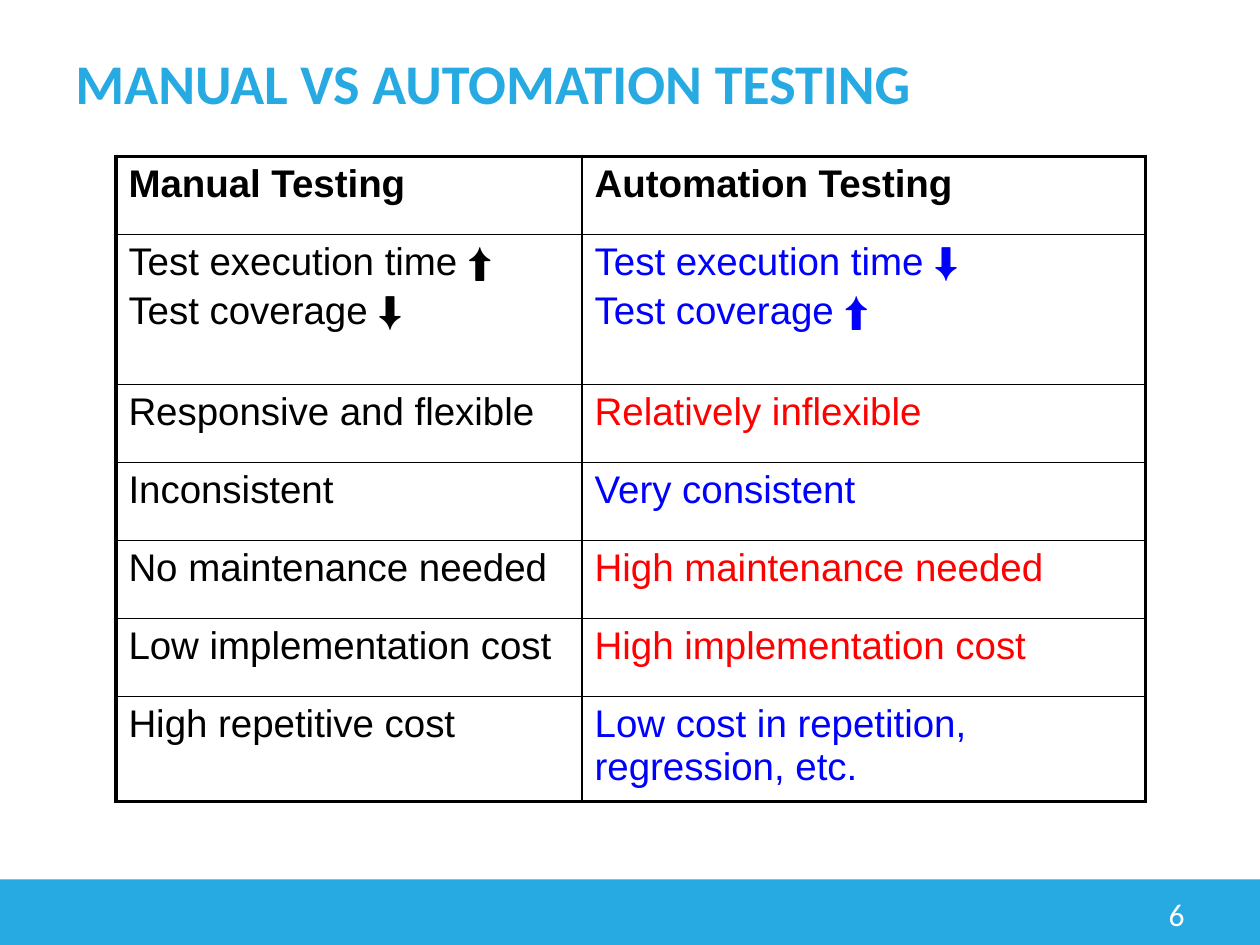
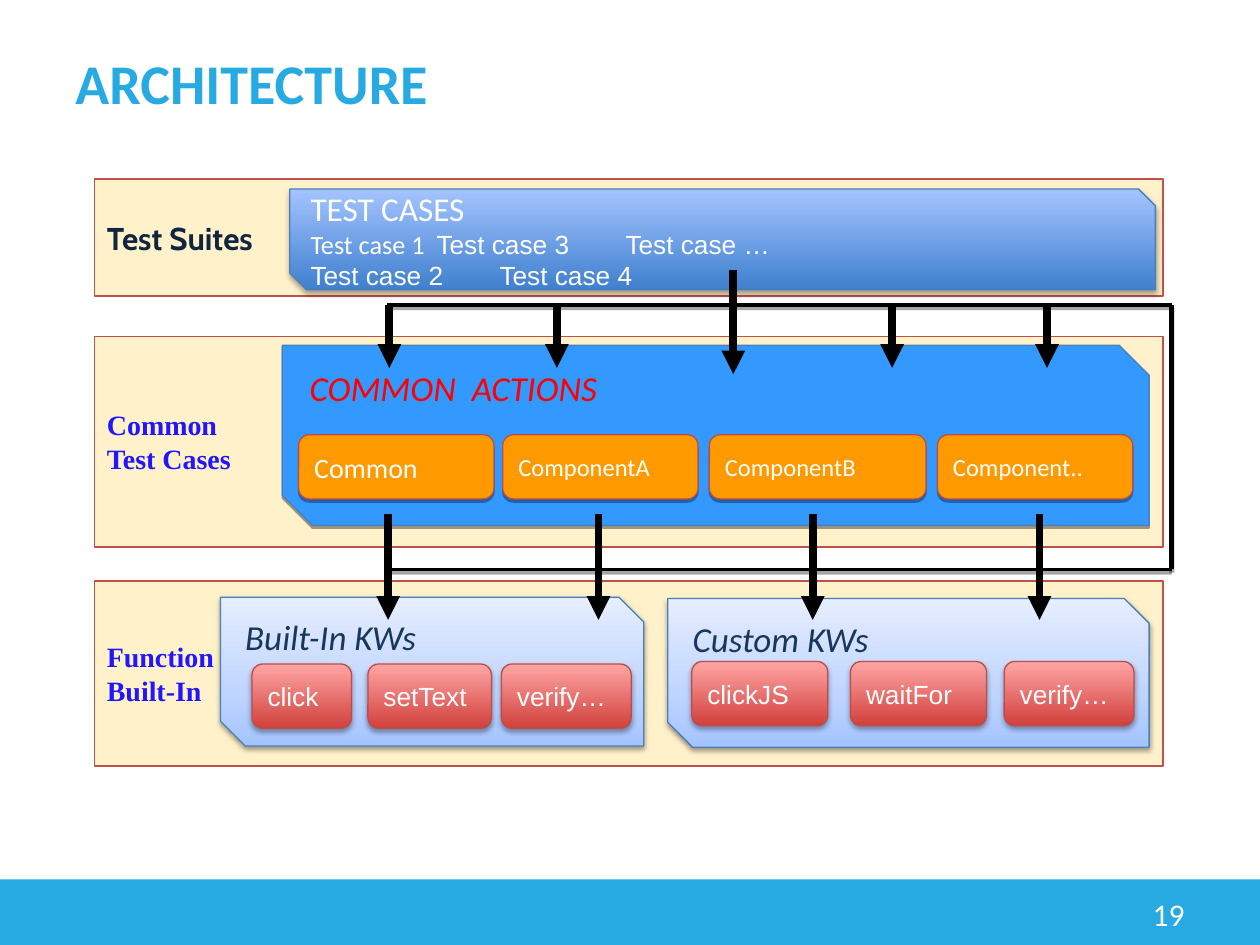
from lxml.etree import SubElement
from pptx import Presentation
from pptx.dml.color import RGBColor
from pptx.enum.shapes import MSO_CONNECTOR, MSO_SHAPE
from pptx.enum.text import MSO_ANCHOR, PP_ALIGN
from pptx.oxml.ns import qn
from pptx.util import Inches, Pt

ACCENT, WHITE, BLACK = "27AAE1", "FFFFFF", "000000"
BLUE, RED = "0000FF", "FF0000"
SAND, SAND_EDGE, LABEL_BLUE = "FFE593", "C0504D", "2116FC"
PANEL_EDGE, NAVY = "4B7EBC", "17375E"
DEEP_BLUES = [(0, "3F80CE"), (100, "A4C4FF")]
PALE_BLUES = [(0, "A4C4FF"), (35, "BFD4FF"), (100, "E6EEFF")]
REDS = [(0, "D1403C"), (100, "FFA6A5")]

COMPARISON = [
    ("Manual Testing", "Automation Testing", BLACK, 0.62),
    ("Test execution time ⬆\nTest coverage ⬇",
     "Test execution time ⬇\nTest coverage ⬆", BLUE, 1.19),
    ("Responsive and flexible", "Relatively inflexible", RED, 0.62),
    ("Inconsistent", "Very consistent", BLUE, 0.62),
    ("No maintenance needed", "High maintenance needed", RED, 0.62),
    ("Low implementation cost", "High implementation cost", RED, 0.62),
    ("High repetitive cost", "Low cost in repetition, regression, etc.", BLUE, 0.77),
]


def colour(value):
    """Turn a hex string into a colour."""
    return RGBColor.from_string(value)


def inches(*lengths):
    """Convert several lengths to inches."""
    return [Inches(length) for length in lengths]


def format_span(span, size, font, ink, bold=False, italic=False):
    """Set the look of one run."""
    span.font.size, span.font.name = Pt(size), font
    span.font.bold, span.font.italic = bold, italic
    span.font.color.rgb = colour(ink)


def write(frame, text, size, font, ink, bold=False, italic=False,
          align=PP_ALIGN.LEFT, anchor=MSO_ANCHOR.MIDDLE):
    """Fill a text frame with evenly formatted text."""
    frame.text = text
    frame.word_wrap, frame.vertical_anchor = True, anchor
    for para in frame.paragraphs:
        para.alignment = align
        for span in para.runs:
            format_span(span, size, font, ink, bold, italic)


def add_label(page, box, text, size, **style):
    """Add a plain Calibri text box."""
    frame = page.shapes.add_textbox(*inches(*box)).text_frame
    write(frame, text, size, "Calibri", **style)


def add_block(page, kind, box, fill, edge=None, width=0.75):
    """Add a preset shape with a solid or gradient fill."""
    block = page.shapes.add_shape(kind, *inches(*box))
    if isinstance(fill, str):
        block.fill.solid()
        block.fill.fore_color.rgb = colour(fill)
    else:
        block.fill.gradient()
        block.fill.gradient_angle = 90
        stops = block.element.spPr.find(".//" + qn("a:gsLst"))
        for stop in list(stops):
            stops.remove(stop)
        for position, value in fill:
            stop = SubElement(stops, qn("a:gs"), pos=str(position * 1000))
            SubElement(stop, qn("a:srgbClr"), val=value)
    if edge:
        block.line.color.rgb = colour(edge)
        block.line.width = Pt(width)
    else:
        block.line.fill.background()
    block.shadow.inherit = False
    return block


def cast_shadow(item, blur, distance=1.8, alpha=35):
    """Give a shape or connector a downward shadow."""
    properties = item.element.spPr
    effects = properties.find(qn("a:effectLst"))
    shadow = SubElement(effects, qn("a:outerShdw"), blurRad=str(Pt(blur)),
                        dist=str(Pt(distance)), dir="5400000", rotWithShape="0")
    shade = SubElement(shadow, qn("a:srgbClr"), val=BLACK)
    SubElement(shade, qn("a:alpha"), val=str(alpha * 1000))


def add_line(page, start, end, width, arrow=False):
    """Add a straight black line, with an arrowhead if wanted."""
    line = page.shapes.add_connector(MSO_CONNECTOR.STRAIGHT, *inches(*start, *end))
    line.line.color.rgb = colour(BLACK)
    line.line.width = Pt(width)
    if arrow:
        SubElement(line.line._get_or_add_ln(), qn("a:tailEnd"), type="triangle")
    SubElement(line.element.spPr, qn("a:effectLst"))
    return line


def add_page(deck, title, number):
    """Add a page with its title, footer band and number."""
    page = deck.slides.add_slide(deck.slide_layouts[6])
    add_block(page, MSO_SHAPE.RECTANGLE, (0, 6.98, 10, 0.52), ACCENT)
    add_label(page, (0.5, 0.3, 6.85, 0.7), title, 32, ink=ACCENT, bold=True)
    add_label(page, (7.17, 7.05, 2.33, 0.4), number, 18, ink=WHITE, align=PP_ALIGN.RIGHT)
    return page


def add_border(cell, widths):
    """Draw the left, right, top and bottom borders of a cell."""
    properties = cell._tc.get_or_add_tcPr()
    for index, (side, width) in enumerate(zip(("lnL", "lnR", "lnT", "lnB"), widths)):
        border = properties.makeelement(qn("a:" + side), w=str(Pt(width)))
        fill = SubElement(border, qn("a:solidFill"))
        SubElement(fill, qn("a:srgbClr"), val=BLACK)
        properties.insert(index, border)


def add_comparison(page, box):
    """Add the two-column comparison table."""
    table = page.shapes.add_table(len(COMPARISON), 2, *inches(*box)).table
    table.first_row = table.horz_banding = False
    table.columns[0].width, table.columns[1].width = inches(3.7, box[2] - 3.7)
    last = len(COMPARISON) - 1
    for index, (manual, automated, ink, height) in enumerate(COMPARISON):
        table.rows[index].height = Inches(height)
        for column, (text, shade) in enumerate(((manual, BLACK), (automated, ink))):
            cell = table.cell(index, column)
            write(cell.text_frame, text, 22, "Arial", shade, bold=index == 0,
                  anchor=MSO_ANCHOR.TOP)
            for para in cell.text_frame.paragraphs[1:]:
                para.space_before = Pt(3.4)
            cell.fill.background()
            outer = (column == 0, column == 1, index == 0, index == last)
            add_border(cell, [2.25 if side else 1 for side in outer])


def add_tier(page, box, label, size=16, font="Times New Roman", ink=LABEL_BLUE):
    """Add a translucent tier with its label at the left."""
    tier = add_block(page, MSO_SHAPE.RECTANGLE, box, SAND, SAND_EDGE, 1)
    SubElement(tier.element.spPr.find(".//" + qn("a:srgbClr")), qn("a:alpha"), val="48000")
    write(tier.text_frame, label, size, font, ink, bold=True)


def add_panel(page, box, fill, blur, distance=1.6, alpha=38):
    """Add a panel with two snipped corners."""
    panel = add_block(page, MSO_SHAPE.SNIP_2_DIAG_RECTANGLE, box, fill, PANEL_EDGE)
    cast_shadow(panel, blur, distance, alpha)
    return panel.text_frame


def add_buttons(page, origin, buttons, fill, edge, font, blur):
    """Add a row of rounded buttons, each at an offset from the origin."""
    left, top = origin
    for offset, width, text, size in buttons:
        button = add_block(page, MSO_SHAPE.ROUNDED_RECTANGLE,
                           (left + offset, top, width, 0.51), fill, edge)
        cast_shadow(button, blur)
        write(button.text_frame, text, size, font, WHITE)


def add_test_cases(page, box):
    """Add the test case panel with its tabbed list."""
    frame = add_panel(page, box, DEEP_BLUES, 3.1, 1.8, 35)
    write(frame, "TEST CASES\nTest case 1\nTest case 2 \tTest case 4", 15, "Arial", WHITE)
    heading, first, second = frame.paragraphs
    format_span(heading.runs[0], 19, "Calibri", WHITE)
    format_span(first.runs[0], 15, "Calibri", WHITE)
    span = first.add_run()
    span.text = "\tTest case 3\tTest case …"
    format_span(span, 15, "Arial", WHITE)
    for para, positions in ((first, (1, 2.5)), (second, (1.5,))):
        tabs = SubElement(para._p.get_or_add_pPr(), qn("a:tabLst"))
        for position in positions:
            SubElement(tabs, qn("a:tab"), pos=str(Inches(position)), algn="l")


def add_common_actions(page, box):
    """Add the common actions panel and its components."""
    left, top = box[:2]
    write(add_panel(page, box, "3399FF", 0), "COMMON  ACTIONS", 20, "Calibri", RED,
          italic=True, anchor=MSO_ANCHOR.TOP)
    components = [(0.13, 1.55, "Common", 16), (1.75, 1.55, "ComponentA", 14),
                  (3.39, 1.72, "ComponentB", 14), (5.2, 1.55, "Component..", 14)]
    add_buttons(page, (left, top + 0.71), components, "FF9900", "BE4B48", "Calibri", 0)


def add_keywords(page, box, title, drop, keywords):
    """Add a keyword panel with its keyword buttons."""
    left, top = box[:2]
    write(add_panel(page, box, PALE_BLUES, 3.1), title, 20, "Calibri", NAVY,
          italic=True, anchor=MSO_ANCHOR.TOP)
    buttons = [(*keyword, 15) for keyword in keywords]
    add_buttons(page, (left, top + drop), buttons, REDS, "BF4C48", "Arial", 3.1)


def add_flow(page, left, right, upper, lower):
    """Add the bus lines around the middle tier and the arrows between tiers."""
    for start, end, width in (((left, upper), (right, upper), 2.25),
                              ((left, lower), (right, lower), 2.25),
                              ((right, upper), (right, lower), 3)):
        cast_shadow(add_line(page, start, end, width), 0)
    drops = [(x, upper, 0.5) for x in (3.09, 4.42, 7.08, 8.31)]
    drops += [(x, lower - 0.44, 0.84) for x in (3.08, 4.75, 6.45, 8.25)]
    drops.append((5.82, upper - 0.28, 0.83))
    for x, top, length in drops:
        add_line(page, (x, top), (x, top + length), 4.5, arrow=True)


def build_comparison(deck):
    """Build the comparison page."""
    page = add_page(deck, "MANUAL VS AUTOMATION TESTING", "6")
    add_comparison(page, (0.92, 1.24, 8.17, 5.06))


def build_architecture(deck):
    """Build the architecture page."""
    page = add_page(deck, "ARCHITECTURE", "19")
    add_tier(page, (0.75, 1.42, 8.48, 0.93), "Test Suites", 18, "Cabin", "10253F")
    add_tier(page, (0.75, 2.67, 8.48, 1.67), "Common\nTest Cases")
    add_tier(page, (0.75, 4.61, 8.48, 1.47), "Function\nBuilt-In")
    add_test_cases(page, (2.3, 1.5, 6.87, 0.8))
    add_common_actions(page, (2.24, 2.74, 6.88, 1.43))
    add_keywords(page, (1.75, 4.74, 3.36, 1.18), "Built-In KWs", 0.53,
                 [(0.25, 0.79, "click"), (1.17, 0.98, "setText"), (2.23, 1.03, "verify…")])
    add_keywords(page, (5.3, 4.75, 3.82, 1.18), "Custom KWs", 0.5,
                 [(0.19, 1.08, "clickJS"), (1.45, 1.08, "waitFor"), (2.67, 1.03, "verify…")])
    add_flow(page, 3.07, 9.3, 2.42, 4.52)


def main():
    """Build and save the deck."""
    deck = Presentation()
    deck.slide_width, deck.slide_height = inches(10, 7.5)
    build_comparison(deck)
    build_architecture(deck)
    deck.save("out.pptx")


if __name__ == "__main__":
    main()
